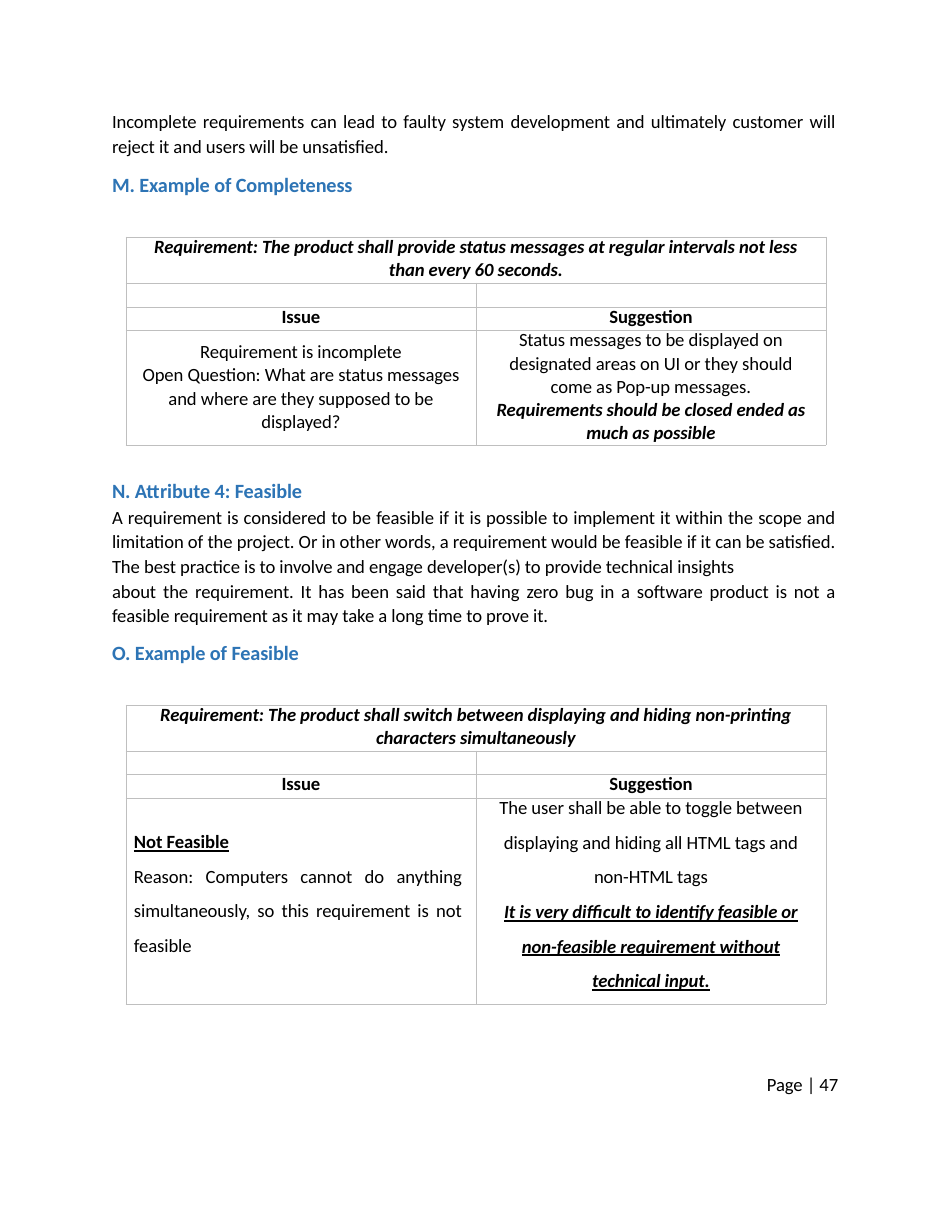
from dataclasses import dataclass

from lxml import etree
from pptx import Presentation
from pptx.dml.color import RGBColor
from pptx.enum.text import PP_ALIGN
from pptx.oxml.ns import qn
from pptx.util import Emu, Pt

LEFT, CENTER, JUSTIFY = PP_ALIGN.LEFT, PP_ALIGN.CENTER, PP_ALIGN.JUSTIFY
PX = 914400 // 112
COLORS = {"text": "000000", "heading": "2D74B5", "border": "BFBFBF"}
FONT = "Calibri"
COLUMN_WIDTH = 350
TEXT_LEFT, TEXT_WIDTH = 111, 731


@dataclass
class Line:
    text: str
    align: PP_ALIGN = LEFT
    size: int = 12
    color: str = "text"
    bold: bool = False
    italic: bool = False
    underline: bool = False
    spacing: float | Pt = 1.0
    before: float = 0
    indent: tuple = (0, 0)


def px(value):
    return Emu(value * PX)


def heading(text, before=0):
    return Line(text, size=13, color="heading", bold=True, before=before, indent=(1, 0))


def body(text, spacing, before=0):
    return Line(text, JUSTIFY, spacing=spacing, before=before, indent=(1, 6))


def centered(text, margin=0, **style):
    return Line(text, CENTER, indent=(margin, margin), **style)


def write_lines(frame, lines):
    for index, line in enumerate(lines):
        paragraph = frame.paragraphs[0] if index == 0 else frame.add_paragraph()
        paragraph.text = line.text
        paragraph.alignment = line.align
        paragraph.line_spacing = line.spacing
        paragraph.space_before = Pt(line.before)
        font = paragraph.font
        font.name, font.size = FONT, Pt(line.size)
        font.bold, font.italic, font.underline = line.bold, line.italic, line.underline
        font.color.rgb = RGBColor.from_string(COLORS[line.color])
        properties = paragraph._p.pPr
        properties.find(qn("a:defRPr")).set("spc", "-5")
        for name, margin in zip(("marL", "marR"), line.indent):
            properties.set(name, str(px(margin)))


def add_text(slide, left, top, width, height, lines, inset=0):
    frame = slide.shapes.add_textbox(px(left), px(top), px(width), px(height)).text_frame
    frame.word_wrap = True
    frame.margin_left = frame.margin_right = frame.margin_bottom = 0
    frame.margin_top = px(inset)
    write_lines(frame, lines)


def style_cell(cell):
    cell.margin_left = cell.margin_right = cell.margin_top = cell.margin_bottom = 0
    properties = cell._tc.get_or_add_tcPr()
    for side in ("a:lnL", "a:lnR", "a:lnT", "a:lnB"):
        border = etree.SubElement(properties, qn(side), w=str(Pt(0.5)))
        fill = etree.SubElement(border, qn("a:solidFill"))
        etree.SubElement(fill, qn("a:srgbClr"), val=COLORS["border"])
    cell.fill.background()
    cell.text_frame.paragraphs[0]._p.get_or_add_endParaRPr().set("sz", "1200")


def add_requirement_table(slide, top, heights, requirement, issue, suggestion, issue_inset):
    frame = slide.shapes.add_table(
        len(heights), 2, px(126), px(top), px(2 * COLUMN_WIDTH), px(sum(heights)))
    table = frame.table
    table.first_row = table.horz_banding = False
    for column in table.columns:
        column.width = px(COLUMN_WIDTH)
    for row, height in zip(table.rows, heights):
        row.height = px(height)
    for cell in table.iter_cells():
        style_cell(cell)
    table.cell(0, 0).merge(table.cell(0, 1))
    first, second = requirement
    write_lines(table.cell(0, 0).text_frame, [
        centered(first, bold=True, italic=True, spacing=Pt(14.1)),
        centered(second, bold=True, italic=True, before=0.2),
    ])
    for column, (title, lines) in enumerate((("Issue", issue), ("Suggestion", suggestion))):
        write_lines(table.cell(2, column).text_frame,
                    [centered(title, bold=True, spacing=Pt(14.1))])
        write_lines(table.cell(3, column).text_frame, lines)
    table.cell(3, 0).margin_top = px(issue_inset)


def main():
    presentation = Presentation()
    presentation.slide_width, presentation.slide_height = px(952), px(1232)
    slide = presentation.slides.add_slide(presentation.slide_layouts[6])

    add_text(slide, TEXT_LEFT, 107, TEXT_WIDTH, 92, [
        body("Incomplete requirements can lead to faulty system development and ultimately "
             "customer will reject it and users will be unsatisfied.", 1.1),
        heading("M. Example of Completeness", 9.4),
    ], inset=1)

    add_requirement_table(
        slide, 237, (46, 24, 23, 115),
        ("Requirement: The product shall provide status messages at regular intervals not less",
         "than every 60 seconds."),
        [centered("Requirement is incomplete"),
         centered("Open Question: What are status messages and where are they supposed "
                  "to be displayed?", 10, spacing=1.02)],
        [centered("Status messages to be displayed on", spacing=Pt(14.1)),
         centered("designated areas on UI or they should come as Pop-up messages.",
                  25, spacing=1.02),
         centered("Requirements should be closed ended as much as possible",
                  15, spacing=1.02, bold=True, italic=True)],
        issue_inset=11)

    add_text(slide, TEXT_LEFT, 475, TEXT_WIDTH, 191, [
        heading("N. Attribute 4: Feasible"),
        body("A requirement is considered to be feasible if it is possible to implement it "
             "within the scope and limitation of the project. Or in other words, a requirement "
             "would be feasible if it can be satisfied. The best practice is to involve and "
             "engage developer(s) to provide technical insights", Pt(15.8), 0.8),
        body("about the requirement. It has been said that having zero bug in a software "
             "product is not a feasible requirement as it may take a long time to prove it.",
             Pt(15.7), 0.2),
        heading("O. Example of Feasible", 8.8),
    ], inset=3)

    add_requirement_table(
        slide, 705, (46, 23, 24, 206),
        ("Requirement: The product shall switch between displaying and hiding non-printing",
         "characters simultaneously"),
        [Line("Not Feasible", JUSTIFY, bold=True, underline=True, indent=(8, 14)),
         Line("Reason: Computers cannot do anything simultaneously, so this requirement "
              "is not feasible", JUSTIFY, spacing=1.52, indent=(8, 14))],
        [centered("The user shall be able to toggle between", spacing=Pt(14.1)),
         centered("displaying and hiding all HTML tags and non-HTML tags", 20, spacing=1.52),
         centered("It is very difficult to identify feasible or non-feasible requirement "
                  "without technical input.", 20, spacing=1.52,
                  bold=True, italic=True, underline=True)],
        issue_inset=33)

    add_text(slide, 766, 1076, 80, 21, [Line("Page | 47", spacing=Pt(12.4), indent=(1, 0))])
    presentation.save("out.pptx")


if __name__ == "__main__":
    main()
